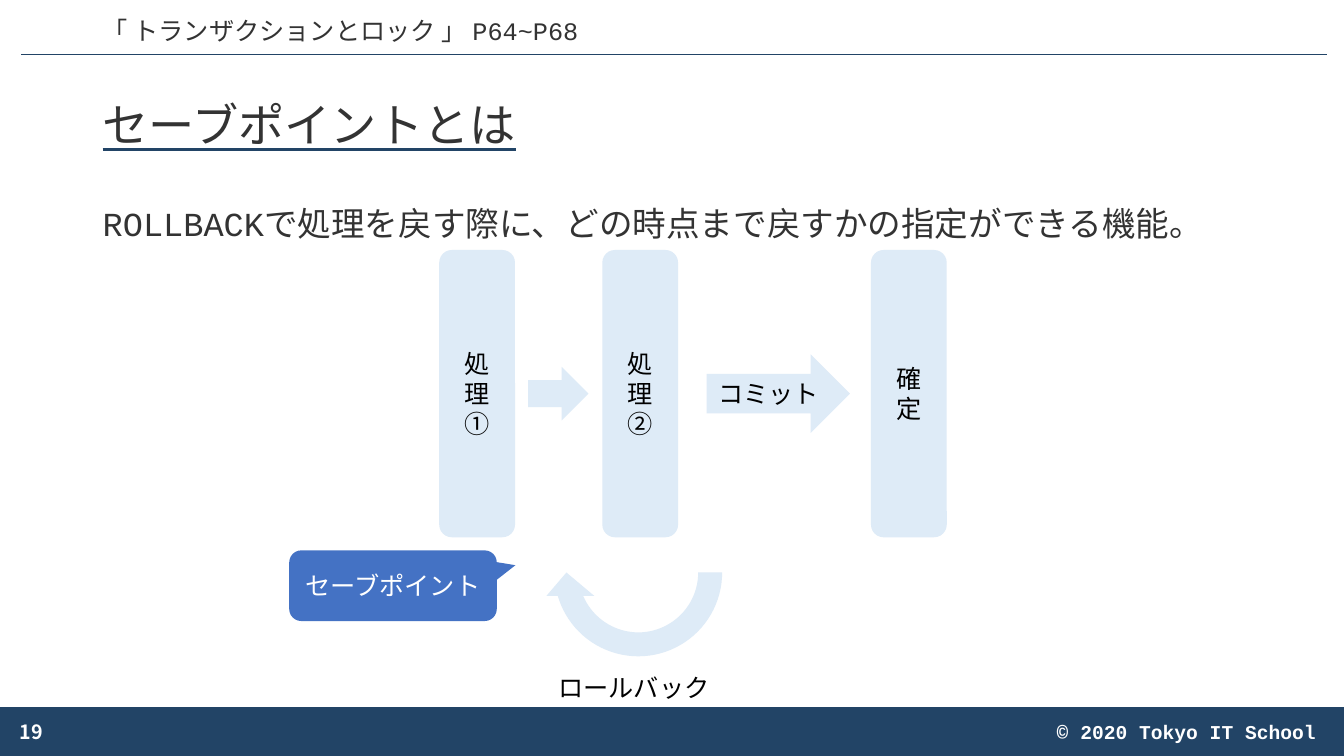
import pptx
import pptx.dml.color
import pptx.enum.shapes
import pptx.enum.text
import pptx.oxml
import pptx.oxml.ns
import pptx.util
from pptx.util import Cm

COLORS = {
    "navy": "224466",
    "text": "333333",
    "pale": "DEEBF7",
    "blue": "4472C4",
    "white": "FFFFFF",
    "black": "000000",
}
CODE_FONT = "Courier New"
JAPANESE_FONT = "Noto Sans CJK JP"
SHAPE = pptx.enum.shapes.MSO_SHAPE
ALIGN = pptx.enum.text.PP_ALIGN
ANCHOR = pptx.enum.text.MSO_ANCHOR


def rgb(name):
    """Return the palette colour with this name."""
    return pptx.dml.color.RGBColor.from_string(COLORS[name])


def drawing_element(tag, content="", attributes=""):
    """Build an element of the DrawingML namespace."""
    namespace = pptx.oxml.ns.nsdecls("a")
    return pptx.oxml.parse_xml(f"<a:{tag} {namespace} {attributes}>{content}</a:{tag}>")


def write_text(shape, text, size=18, color="black", font=JAPANESE_FONT, bold=False,
               align=ALIGN.LEFT, anchor=ANCHOR.TOP, spacing=None, underline=None, wrap=True):
    """Write one formatted paragraph into a shape."""
    frame = shape.text_frame
    frame.word_wrap = wrap
    frame.vertical_anchor = anchor
    paragraph = frame.paragraphs[0]
    paragraph.alignment = align
    if spacing:
        paragraph.line_spacing = spacing
    run = paragraph.add_run()
    run.text = text
    run.font.size = pptx.util.Pt(size)
    run.font.bold = bold
    run.font.color.rgb = rgb(color)
    run.font.name = font
    latin = run.font._element.find(pptx.oxml.ns.qn("a:latin"))
    latin.addnext(drawing_element("ea", attributes=f'typeface="{JAPANESE_FONT}"'))
    if underline:
        run.font.underline = True
        fill = f'<a:solidFill><a:srgbClr val="{COLORS[underline]}"/></a:solidFill>'
        latin.addprevious(drawing_element("uFill", fill))


def add_text(slide, box, text, **text_format):
    """Add a text box at the given left, top, width and height."""
    write_text(slide.shapes.add_textbox(*map(Cm, box)), text, **text_format)


def add_block(slide, kind, box, fill="pale", text=None, **text_format):
    """Add a borderless filled shape with optional centred text."""
    shape = slide.shapes.add_shape(kind, *map(Cm, box))
    shape.shadow.inherit = False
    shape.fill.solid()
    shape.fill.fore_color.rgb = rgb(fill)
    shape.line.fill.background()
    if text:
        write_text(shape, text, align=ALIGN.CENTER, anchor=ANCHOR.MIDDLE, **text_format)
    return shape


def add_header(slide, left, top, width):
    """Place the chapter line and its rule."""
    add_text(slide, (left + 1.81, top + 0.25, 21.82, 1.8),
             "「 トランザクションとロック 」 P64~P68", color="text", font=CODE_FONT)
    rule_y = Cm(top + 1.37)
    rule = slide.shapes.add_connector(pptx.enum.shapes.MSO_CONNECTOR.STRAIGHT,
                                      Cm(left), rule_y, Cm(left + width), rule_y)
    rule.line.color.rgb = rgb("navy")
    rule.line.width = pptx.util.Pt(0.5)
    rule._element.spPr.append(drawing_element("effectLst"))


def add_footer(slide, left, top, width, height):
    """Place the bottom band with page number and copyright."""
    add_block(slide, SHAPE.RECTANGLE, (left, top, width, height), fill="navy")
    add_text(slide, (left + 0.25, top + 0.11, 7.62, 1.02), "19", size=14,
             color="white", bold=True, anchor=ANCHOR.MIDDLE)
    add_text(slide, (left + width - 12.69, top + 0.19, 12.24, 0.86),
             "© 2020 Tokyo IT School", size=14, color="white", font=CODE_FONT,
             bold=True, align=ALIGN.RIGHT)


def add_explanation(slide, left, top, width):
    """Place the title and the sentence under it."""
    add_text(slide, (left, top, width, 2.97), "セーブポイントとは", size=33, color="text",
             font=CODE_FONT, anchor=ANCHOR.MIDDLE, spacing=0.9, underline="navy")
    add_text(slide, (left, top + 3.38, width, 12.09),
             "ROLLBACKで処理を戻す際に、どの時点まで戻すかの指定ができる機能。",
             size=24, color="text", font=CODE_FONT, spacing=0.9)


def add_process_flow(slide, left, top, step_height):
    """Place the steps and the arrows centred between them."""
    for offset, label in ((0, "処理①"), (4.11, "処理②"), (10.88, "確定")):
        add_block(slide, SHAPE.ROUNDED_RECTANGLE,
                  (left + offset, top, 1.91, step_height), text=label)
    for offset, width, height, label in ((2.24, 1.52, 1.35, None), (6.74, 3.61, 1.98, "コミット")):
        arrow_top = top + (step_height - height) / 2
        add_block(slide, SHAPE.RIGHT_ARROW, (left + offset, arrow_top, width, height),
                  text=label, wrap=False)


def add_rollback(slide, left, top, size):
    """Place the returning arrow, its label and the savepoint callout."""
    arrow = add_block(slide, SHAPE.CIRCULAR_ARROW, (left, top, size, size))
    arrow.rotation = 180
    add_text(slide, (left + 0.15, top + size - 0.03, 4.52, 1.02), "ロールバック")
    callout = add_block(slide, SHAPE.ROUNDED_RECTANGULAR_CALLOUT,
                        (left - 6.38, top + 1.86, 5.23, 1.78), fill="blue",
                        text="セーブポイント", color="white")
    callout.adjustments[0] = 0.59
    callout.adjustments[1] = -0.29
    callout.adjustments[2] = 0.17


def main():
    """Build and save the slide."""
    presentation = pptx.Presentation()
    presentation.slide_width = Cm(33.87)
    presentation.slide_height = Cm(19.05)
    slide = presentation.slides.add_slide(presentation.slide_layouts[6])
    add_footer(slide, 0, 17.82, 33.87, 1.23)
    add_header(slide, 0.53, 0, 32.9)
    add_explanation(slide, 2.34, 1.73, 29.21)
    add_process_flow(slide, 11.07, 6.3, 7.24)
    add_rollback(slide, 13.67, 12.01, 4.83)
    presentation.save("out.pptx")


if __name__ == "__main__":
    main()
